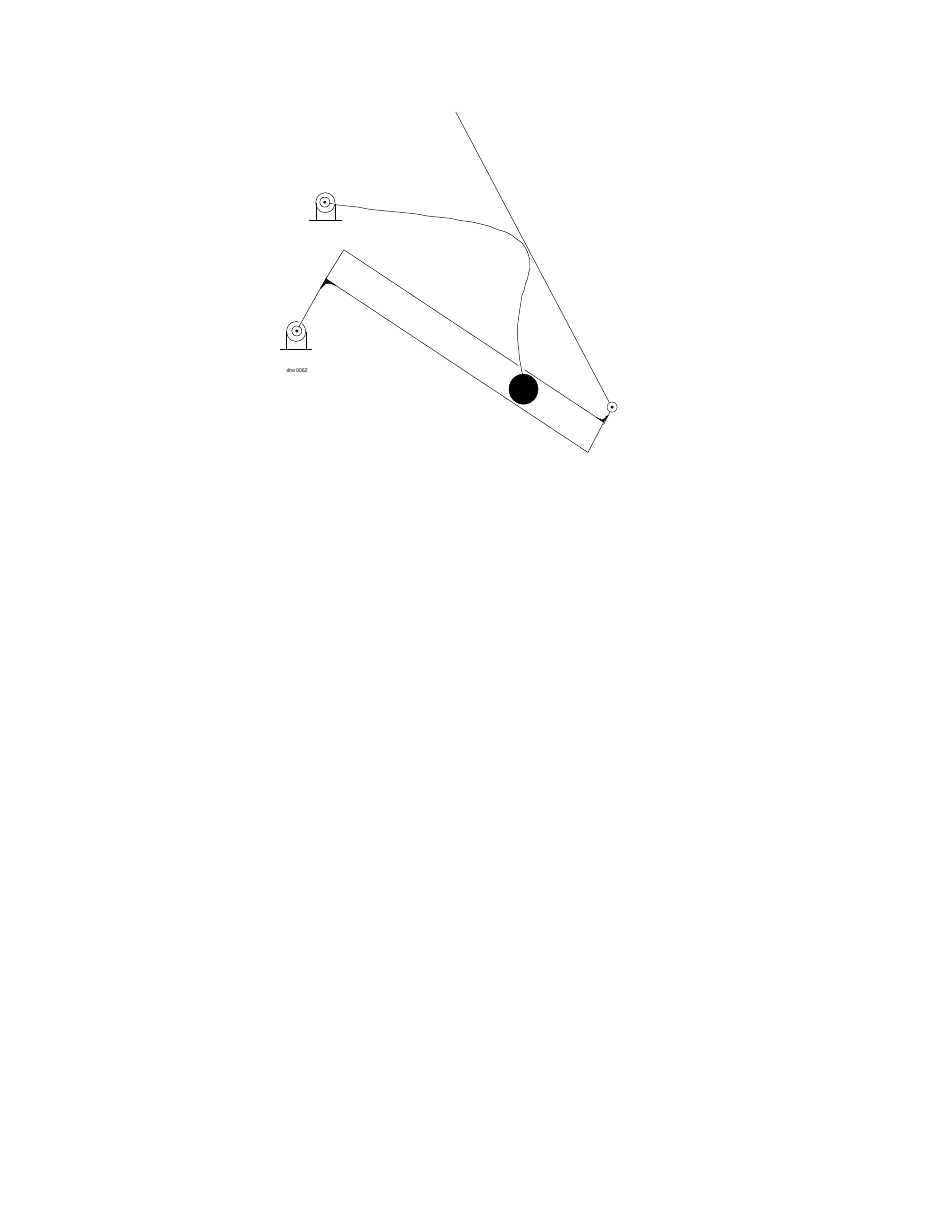
"""Draw a hinged trough with a tethered ball and two pivot bearings."""
from lxml import etree
from pptx import Presentation
from pptx import util as u
from pptx.dml.color import RGBColor
from pptx.enum import shapes, text
from pptx.oxml.ns import qn

BLACK, WHITE = "000000", "FFFFFF"
HAIRLINE = 0.29

TETHER = [
    (2.92, 1.81), (3.01, 1.83), (3.1, 1.84), (3.2, 1.85), (3.3, 1.87), (3.4, 1.88),
    (3.51, 1.89), (3.61, 1.9), (3.71, 1.91), (3.82, 1.93), (3.92, 1.94), (4.02, 1.95),
    (4.11, 1.97), (4.2, 1.98), (4.29, 2), (4.37, 2.02), (4.44, 2.05), (4.51, 2.07),
    (4.57, 2.1), (4.62, 2.14), (4.66, 2.17), (4.69, 2.21), (4.71, 2.25), (4.73, 2.32),
    (4.73, 2.36), (4.73, 2.4), (4.72, 2.44), (4.71, 2.49), (4.69, 2.54), (4.68, 2.59),
    (4.66, 2.64), (4.65, 2.71), (4.64, 2.77), (4.63, 2.84), (4.62, 2.92), (4.62, 3.01),
    (4.63, 3.11), (4.64, 3.21), (4.66, 3.32), (4.69, 3.44)]
TROUGH = [(3.07, 2.23), (5.39, 3.77), (5.25, 4.04), (2.91, 2.49)]
LEFT_WELD = [
    (2.86, 2.58), (2.91, 2.49), (3, 2.55), (2.97, 2.54), (2.96, 2.53), (2.94, 2.53),
    (2.92, 2.53), (2.91, 2.53), (2.9, 2.54), (2.89, 2.55), (2.88, 2.56)]
RIGHT_WELD = [
    (5.43, 3.71), (5.39, 3.77), (5.33, 3.73), (5.35, 3.74), (5.36, 3.74), (5.37, 3.75),
    (5.38, 3.75), (5.39, 3.74), (5.4, 3.74), (5.41, 3.73), (5.41, 3.72)]
TROUGH_GAP = [(4.63, 3.24), (4.62, 3.28), (4.68, 3.32), (4.69, 3.28)]
UPPER_GAP = [(2.97, 1.81), (2.96, 1.83), (2.99, 1.83), (3, 1.81)]
LOWER_GAP = [(2.69, 2.86), (2.67, 2.88), (2.69, 2.9), (2.7, 2.87)]


def color(value):
    """Turn a hex string into a colour."""
    return RGBColor.from_string(value)


def style(shape, fill=None, line=None, weight=HAIRLINE):
    """Set the fill and outline of a shape and drop its shadow."""
    shape.shadow.inherit = False
    if fill:
        shape.fill.solid()
        shape.fill.fore_color.rgb = color(fill)
    else:
        shape.fill.background()
    if line:
        shape.line.color.rgb = color(line)
        shape.line.width = u.Pt(weight)
    else:
        shape.line.fill.background()


def add_line(page, start, end):
    """Draw a straight hairline between two points."""
    ends = [u.Inches(value) for value in (*start, *end)]
    line = page.shapes.add_connector(shapes.MSO_CONNECTOR.STRAIGHT, *ends)
    line.line.color.rgb = color(BLACK)
    line.line.width = u.Pt(HAIRLINE)
    etree.SubElement(line._element.spPr, qn("a:effectLst"))


def add_outline(page, points, close=True, **look):
    """Draw a freeform through the given points."""
    corners = [(u.Inches(x), u.Inches(y)) for x, y in points]
    builder = page.shapes.build_freeform(*corners[0])
    builder.add_line_segments(corners[1:], close=close)
    style(builder.convert_to_shape(), **look)


def add_disc(page, center, width, height, **look):
    """Draw an ellipse around a centre point."""
    x, y = center
    disc = page.shapes.add_shape(
        shapes.MSO_SHAPE.OVAL, u.Inches(x - width / 2), u.Inches(y - height / 2),
        u.Inches(width), u.Inches(height))
    style(disc, **look)


def add_pin(page, center, weight=HAIRLINE):
    """Draw a white pin ring with a black core."""
    for size, fill in ((0.09, WHITE), (0.02, BLACK)):
        add_disc(page, center, size, size, fill=fill, line=BLACK, weight=weight)


def add_housing(page, left, top):
    """Draw a bearing housing on two posts and a base."""
    right, middle, base = left + 0.17, top + 0.09, top + 0.25
    add_disc(page, (left + 0.085, middle), 0.17, 0.18, line=BLACK)
    for x in (left, right):
        add_line(page, (x, middle), (x, base))
    add_line(page, (left - 0.06, base), (right + 0.06, base))


def add_text(page, words, left, top, width, height, *, size, font, fill, spacing, indent):
    """Write one line of formatted text."""
    box = page.shapes.add_textbox(*map(u.Inches, (left, top, width, height)))
    frame = box.text_frame
    frame.word_wrap = True
    frame.auto_size = text.MSO_AUTO_SIZE.SHAPE_TO_FIT_TEXT
    frame.margin_left = frame.margin_right = frame.margin_top = frame.margin_bottom = 0
    para = frame.paragraphs[0]
    para._p.get_or_add_pPr().set("marL", str(u.Inches(indent)))
    span = para.add_run()
    span.text = words
    span.font.size = u.Pt(size)
    span.font.name = font
    span.font.color.rgb = color(fill)
    span._r.get_or_add_rPr().set("spc", str(round(spacing * 100)))


def main():
    """Build and save the slide."""
    deck = Presentation()
    deck.slide_width, deck.slide_height = u.Inches(8.5), u.Inches(11)
    page = deck.slides.add_slide(deck.slide_layouts[6])

    add_line(page, (5.46, 3.63), (4.07, 1))
    add_disc(page, (4.675, 3.475), 0.26, 0.27, fill=BLACK, line=BLACK, weight=0.25)
    add_line(page, (5.39, 3.79), (5.45, 3.67))
    add_pin(page, (5.465, 3.635), weight=0.25)
    add_housing(page, 2.56, 2.87)
    for weld in (LEFT_WELD, RIGHT_WELD):
        add_outline(page, weld, fill=BLACK, line=BLACK)
    add_text(page, "drw 0062", 2.55, 3.28, 0.23, 0.08, size=3.5, font="Arial",
             fill=BLACK, spacing=-0.1, indent=0.01)
    add_outline(page, TROUGH, line=BLACK)
    add_outline(page, TROUGH_GAP, fill=WHITE)
    add_housing(page, 2.82, 1.72)
    add_outline(page, UPPER_GAP, fill=WHITE)
    add_outline(page, TETHER, close=False, line=BLACK)
    add_pin(page, (2.9, 1.805))
    add_outline(page, LOWER_GAP, fill=WHITE)
    add_line(page, (2.92, 2.47), (2.65, 2.95))
    add_pin(page, (2.65, 2.955))
    deck.save("out.pptx")


if __name__ == "__main__":
    main()
